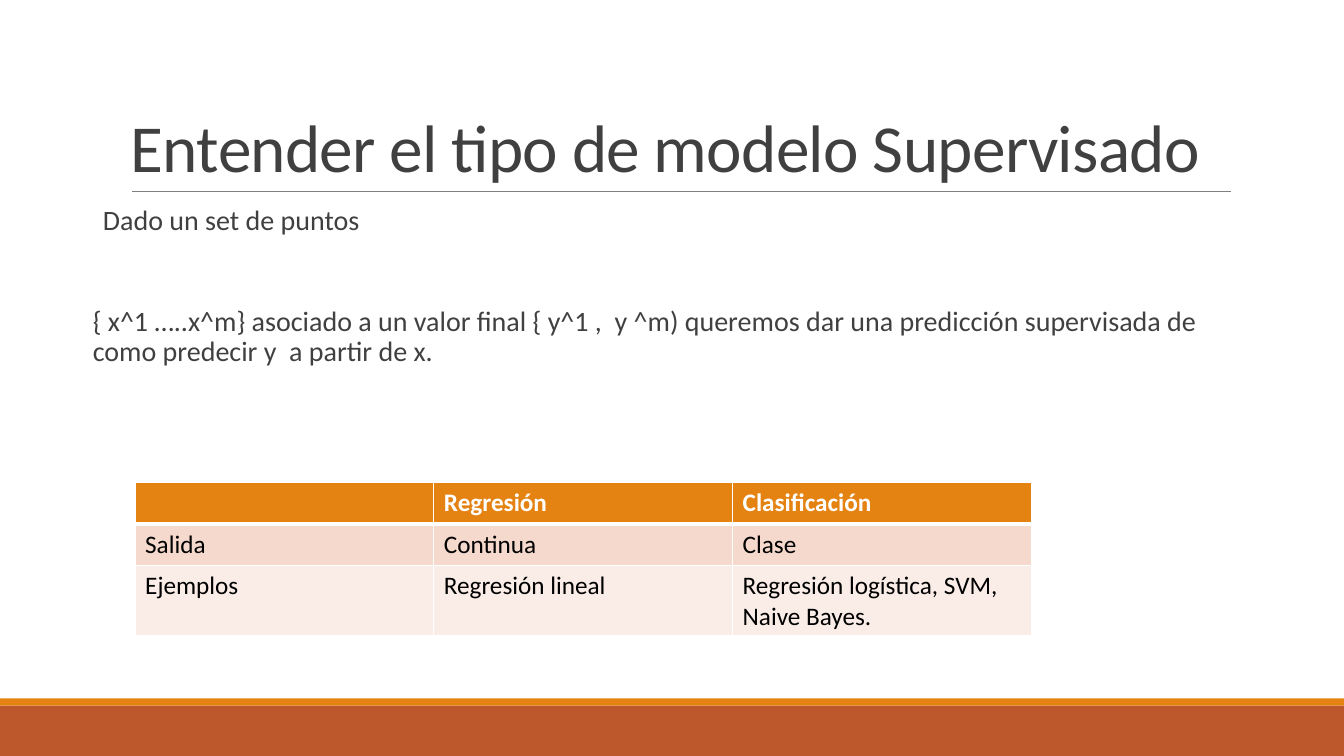
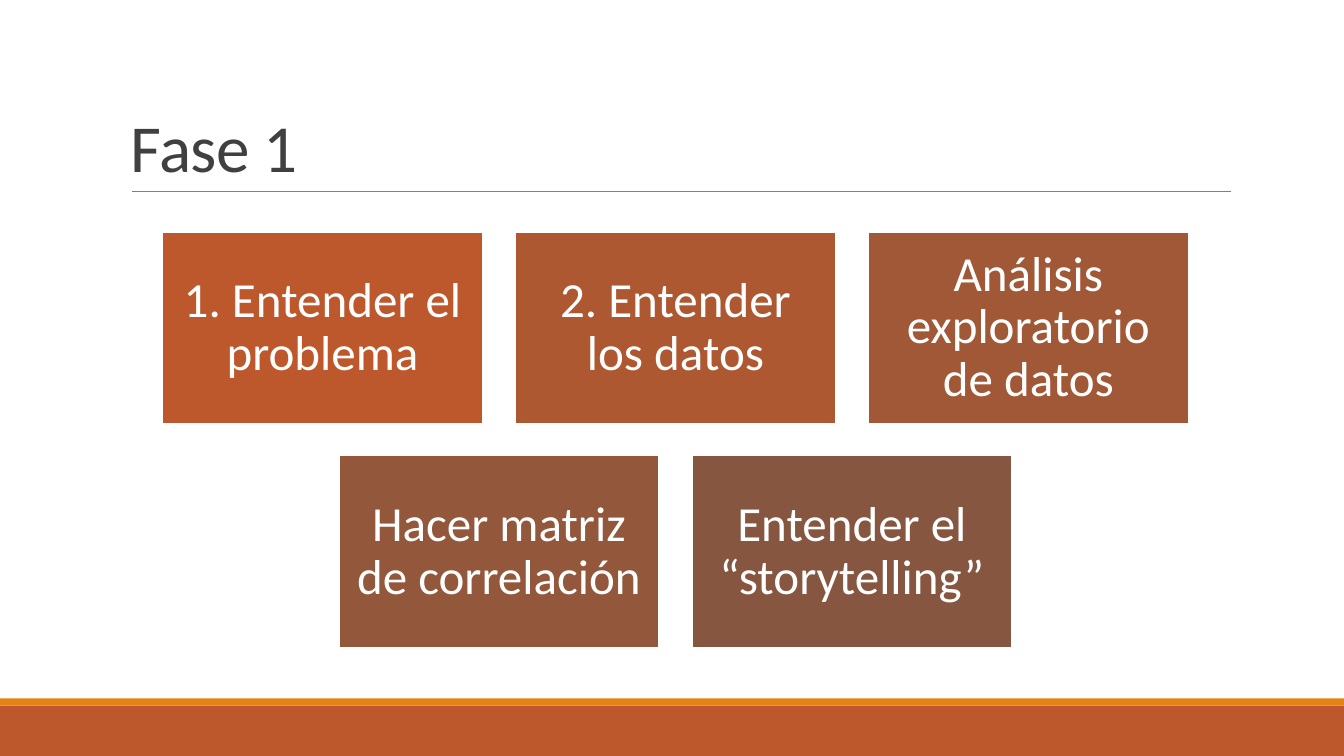
from lxml.etree import SubElement
from pptx import Presentation
from pptx.dml.color import RGBColor
from pptx.enum.shapes import MSO_CONNECTOR, MSO_SHAPE
from pptx.enum.text import MSO_ANCHOR, PP_ALIGN
from pptx.oxml.ns import qn
from pptx.util import Inches, Pt

FONT = "Calibri"
SLIDE_W, SLIDE_H = 13.33, 7.5
COLORS = {
    "rust": "BD582C", "orange": "E48312", "rule": "808080",
    "text": "404040", "white": "FFFFFF", "black": "000000",
    "row_dark": "F5D9CC", "row_light": "FAEDE7",
    "tile_1": "BD582C", "tile_2": "AE5832", "tile_3": "A05837",
    "tile_4": "93573C", "tile_5": "865640",
}


def rgb(name):
    return RGBColor.from_string(COLORS[name])


def add_run(p, text, size, color, bold=False):
    r = p.add_run()
    r.text = text
    r.font.name, r.font.size, r.font.bold = FONT, Pt(size), bold
    r.font.color.rgb = rgb(color)
    return r


def add_rect(slide, box, fill, line=None):
    sp = slide.shapes.add_shape(MSO_SHAPE.RECTANGLE, *map(Inches, box))
    sp.shadow.inherit = False
    sp.fill.solid()
    sp.fill.fore_color.rgb = rgb(fill)
    if line:
        sp.line.color.rgb = rgb(line)
        sp.line.width = Pt(1.25)
    else:
        sp.line.fill.background()
    return sp


def set_frame(tf, anchor, x_inset, y_inset):
    tf.word_wrap = True
    tf.vertical_anchor = anchor
    tf.margin_left = tf.margin_right = Inches(x_inset)
    tf.margin_top = tf.margin_bottom = Inches(y_inset)


def add_title(slide, text, box):
    left, top, width, height = box
    tf = slide.shapes.add_textbox(*map(Inches, box)).text_frame
    set_frame(tf, MSO_ANCHOR.BOTTOM, 0.1, 0.05)
    p = tf.paragraphs[0]
    p.line_spacing = 0.85
    r = add_run(p, text, 48, "text")
    r.font._element.set("spc", "-50")

    # Rule under the title
    y = Inches(top + height)
    rule = slide.shapes.add_connector(
        MSO_CONNECTOR.STRAIGHT, Inches(left + 0.11), y,
        Inches(left + width + 0.01), y)
    rule.line.color.rgb = rgb("rule")
    rule.line.width = Pt(0.5)
    SubElement(rule._element.spPr, qn("a:effectLst"))


def new_slide(prs, title):
    slide = prs.slides.add_slide(prs.slide_layouts[6])
    # Footer bands
    add_rect(slide, (0, 7, SLIDE_W, 0.5), "rust")
    add_rect(slide, (0, 6.93, SLIDE_W, 0.07), "orange")
    add_title(slide, title, (1.2, 0.31, 11, 1.59))
    return slide


def add_body(slide, box, paragraphs):
    tf = slide.shapes.add_textbox(*map(Inches, box)).text_frame
    set_frame(tf, MSO_ANCHOR.TOP, 0, 0.05)
    for i, (text, indent, before) in enumerate(paragraphs):
        p = tf.add_paragraph() if i else tf.paragraphs[0]
        p._p.get_or_add_pPr().set("marL", str(Inches(indent)))
        p.line_spacing = 0.9
        if before:
            p.space_before = Pt(before)
        add_run(p, text, 20, "text")


def set_borders(cell, bottom):
    tcPr = cell._tc.get_or_add_tcPr()
    for side, width in (("L", 1), ("R", 1), ("T", 1), ("B", bottom)):
        ln = SubElement(tcPr, qn(f"a:ln{side}"), w=str(Pt(width)))
        fill = SubElement(ln, qn("a:solidFill"))
        SubElement(fill, qn("a:srgbClr"), val=COLORS["white"])


def add_comparison(slide, box, rows, heights):
    left, top, width = box
    n_cols = len(rows[0])
    table = slide.shapes.add_table(
        len(rows), n_cols, Inches(left), Inches(top),
        Inches(width), Inches(sum(heights))).table
    for col in table.columns:
        col.width = Inches(width / n_cols)
    fills = ("orange", "row_dark", "row_light")
    for i, (texts, height, fill) in enumerate(zip(rows, heights, fills)):
        table.rows[i].height = Inches(height)
        header = i == 0
        for j, text in enumerate(texts):
            cell = table.cell(i, j)
            set_borders(cell, 3 if header else 1)
            cell.fill.solid()
            cell.fill.fore_color.rgb = rgb(fill)
            if text:
                add_run(cell.text_frame.paragraphs[0], text, 18,
                        "white" if header else "black", header)


def add_tiles(slide, box, rows, tile_w=3.18, tile_h=1.91, gap_x=0.32, gap_y=0.31):
    """Rows of tiles, each row centred in the box."""
    left, top, width = box
    number = 0
    for i, labels in enumerate(rows):
        row_w = len(labels) * (tile_w + gap_x) - gap_x
        x = left + (width - row_w) / 2
        y = top + i * (tile_h + gap_y)
        for j, label in enumerate(labels):
            number += 1
            sp = add_rect(slide, (x + j * (tile_w + gap_x), y, tile_w, tile_h),
                          f"tile_{number}", "white")
            set_frame(sp.text_frame, MSO_ANCHOR.MIDDLE, 0.15, 0.15)
            p = sp.text_frame.paragraphs[0]
            p.alignment = PP_ALIGN.CENTER
            p.line_spacing = 0.9
            add_run(p, label, 35, "white")


def supervised_slide(prs):
    slide = new_slide(prs, "Entender el tipo de modelo Supervisado")
    add_body(slide, (0.92, 2, 11.29, 2.79), [
        ("Dado un set de puntos", 0.1, 0),
        ("{ x^1 …..x^m} asociado a un valor final { y^1 ,  y ^m) queremos dar "
         "una predicción supervisada de como predecir y  a partir de x.", 0, 50),
    ])
    add_comparison(slide, (1.34, 4.79, 8.89), [
        ("", "Regresión", "Clasificación"),
        ("Salida", "Continua", "Clase"),
        ("Ejemplos", "Regresión lineal", "Regresión logística, SVM, Naive Bayes."),
    ], (0.41, 0.41, 0.69))


def phase_slide(prs):
    slide = new_slide(prs, "Fase 1")
    add_tiles(slide, (1.61, 2.3, 10.18), [
        ("1. Entender el problema", "2. Entender los datos",
         "Análisis exploratorio de datos"),
        ("Hacer matriz de correlación", "Entender el “storytelling”"),
    ])


def main():
    prs = Presentation()
    prs.slide_width, prs.slide_height = Inches(SLIDE_W), Inches(SLIDE_H)
    supervised_slide(prs)
    phase_slide(prs)
    prs.save("out.pptx")


if __name__ == "__main__":
    main()
